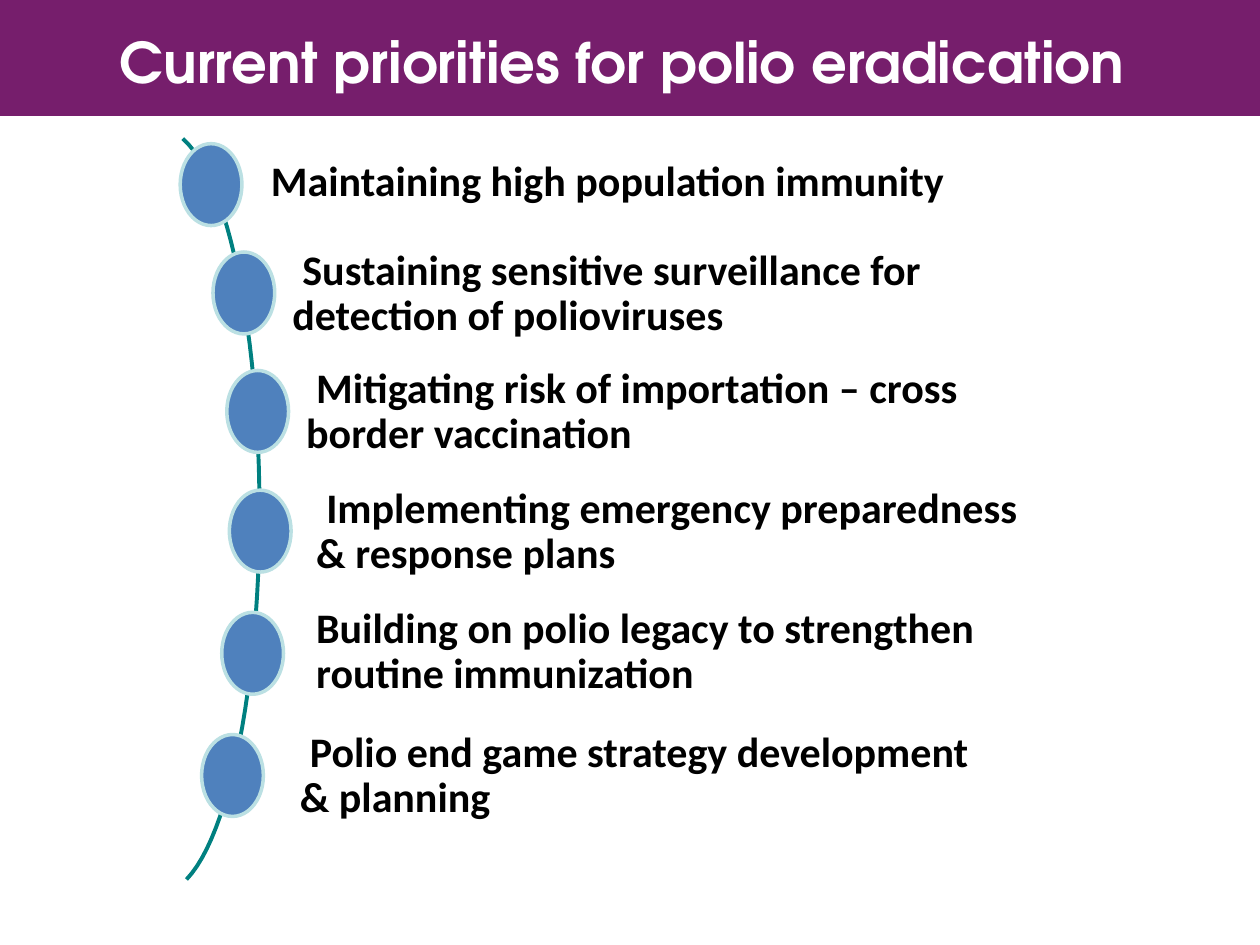
from dataclasses import dataclass

from lxml import etree
from pptx import Presentation, util as u
from pptx.dml.color import RGBColor
from pptx.enum import shapes, text
from pptx.oxml import ns


@dataclass(frozen=True)
class Theme:
    banner: RGBColor = RGBColor(0x76, 0x1E, 0x6C)
    banner_text: RGBColor = RGBColor(0xFF, 0xFF, 0xFF)
    arc: RGBColor = RGBColor(0x00, 0x80, 0x80)
    marker: RGBColor = RGBColor(0x4F, 0x81, 0xBD)
    marker_edge: RGBColor = RGBColor(0xBB, 0xE0, 0xE3)
    body_text: RGBColor = RGBColor(0, 0, 0)
    title_font: str = "TeX Gyre Adventor"
    body_font: str = "Calibri"
    title_size: int = 32
    body_size: int = 24


THEME = Theme()
MARKER_SIZE = (0.49, 0.65)
FIRST_LINE_INDENT = 0.08

# Wording, first-line indent, marker left and top, text box
PRIORITIES = [
    ("Maintaining high population immunity",
     FIRST_LINE_INDENT, (1.43, 1.14), (1.59, 1.15, 6.76, 0.6)),
    ("Sustaining sensitive surveillance for detection of polioviruses",
     FIRST_LINE_INDENT, (1.69, 2.0), (1.84, 2.02, 6.52, 0.63)),
    ("Mitigating risk of importation – cross border vaccination",
     FIRST_LINE_INDENT, (1.8, 2.94), (1.95, 2.96, 6.41, 0.62)),
    ("Implementing emergency preparedness & response plans",
     FIRST_LINE_INDENT, (1.82, 3.89), (2.03, 3.91, 6.34, 0.63)),
    ("Building on polio legacy to strengthen routine immunization",
     0, (1.76, 4.86), (2.03, 4.88, 6.33, 0.59)),
    ("Polio end game strategy development & planning",
     FIRST_LINE_INDENT, (1.6, 5.83), (1.9, 5.88, 5.89, 0.56)),
]

# Two Bezier curves, each as start, two controls and end
ARC_CURVES = [
    ((1.45, 1.1), (1.81, 1.41), (2.06, 2.64), (2.06, 4.06)),
    ((2.06, 4.06), (2.06, 5.43), (1.82, 6.63), (1.48, 6.98)),
]


def inches(values):
    return [u.Inches(value) for value in values]


def set_margins(frame, left, top, right, bottom):
    frame.margin_left, frame.margin_top = u.Inches(left), u.Inches(top)
    frame.margin_right, frame.margin_bottom = u.Inches(right), u.Inches(bottom)


def style_font(font, name, size, color):
    font.name, font.size, font.bold = name, u.Pt(size), True
    font.color.rgb = color


def add_banner(slide, box):
    banner = slide.shapes.title
    banner.left, banner.top, banner.width, banner.height = inches(box)
    banner.fill.solid()
    banner.fill.fore_color.rgb = THEME.banner
    frame = banner.text_frame
    frame.auto_size = text.MSO_AUTO_SIZE.NONE
    frame.vertical_anchor = text.MSO_ANCHOR.MIDDLE
    set_margins(frame, 0.1, 0.05, 0.22, 0.05)
    heading = frame.paragraphs[0]
    heading.text = "Current priorities for polio eradication"
    heading.alignment = text.PP_ALIGN.CENTER
    heading.line_spacing = 1.1
    style_font(heading.font, THEME.title_font, THEME.title_size, THEME.banner_text)


def bezier_point(curve, t):
    weights = ((1 - t) ** 3, 3 * t * (1 - t) ** 2, 3 * t ** 2 * (1 - t), t ** 3)
    return inches(sum(w * point[axis] for w, point in zip(weights, curve))
                  for axis in (0, 1))


def add_arc(slide, curves, steps=24):
    points = [bezier_point(curve, step / steps)
              for curve in curves for step in range(1, steps + 1)]
    builder = slide.shapes.build_freeform(*inches(curves[0][0]))
    builder.add_line_segments(points, close=False)
    arc = builder.convert_to_shape()
    arc.shadow.inherit = False
    arc.fill.background()
    arc.line.color.rgb = THEME.arc
    arc.line.width = u.Pt(2.25)


def add_marker(slide, box):
    marker = slide.shapes.add_shape(shapes.MSO_SHAPE.OVAL, *inches(box))
    marker.shadow.inherit = False
    marker.fill.solid()
    marker.fill.fore_color.rgb = THEME.marker
    marker.line.color.rgb = THEME.marker_edge
    marker.line.width = u.Pt(2)


def add_priority(slide, wording, indent, box):
    frame = slide.shapes.add_textbox(*inches(box)).text_frame
    frame.word_wrap = True
    frame.vertical_anchor = text.MSO_ANCHOR.MIDDLE
    set_margins(frame, 0.48, 0.04, 0.04, 0.04)
    priority = frame.paragraphs[0]
    priority.text = wording
    priority.line_spacing = 0.9
    properties = priority._p.get_or_add_pPr()
    properties.set("marL", "0")
    properties.set("indent", str(u.Inches(indent)))
    etree.SubElement(properties, ns.qn("a:buNone"))
    style_font(priority.font, THEME.body_font, THEME.body_size, THEME.body_text)


def add_priority_list(slide):
    # Arc first, so the markers sit on top of it
    add_arc(slide, ARC_CURVES)
    for wording, indent, marker_corner, text_box in PRIORITIES:
        add_priority(slide, wording, indent, text_box)
        add_marker(slide, marker_corner + MARKER_SIZE)


def main():
    deck = Presentation()
    deck.slide_width, deck.slide_height = inches((10, 7.5))
    slide = deck.slides.add_slide(deck.slide_layouts.get_by_name("Title Only"))
    add_banner(slide, (0, 0, 10, 0.92))
    add_priority_list(slide)
    deck.save("out.pptx")


if __name__ == "__main__":
    main()
